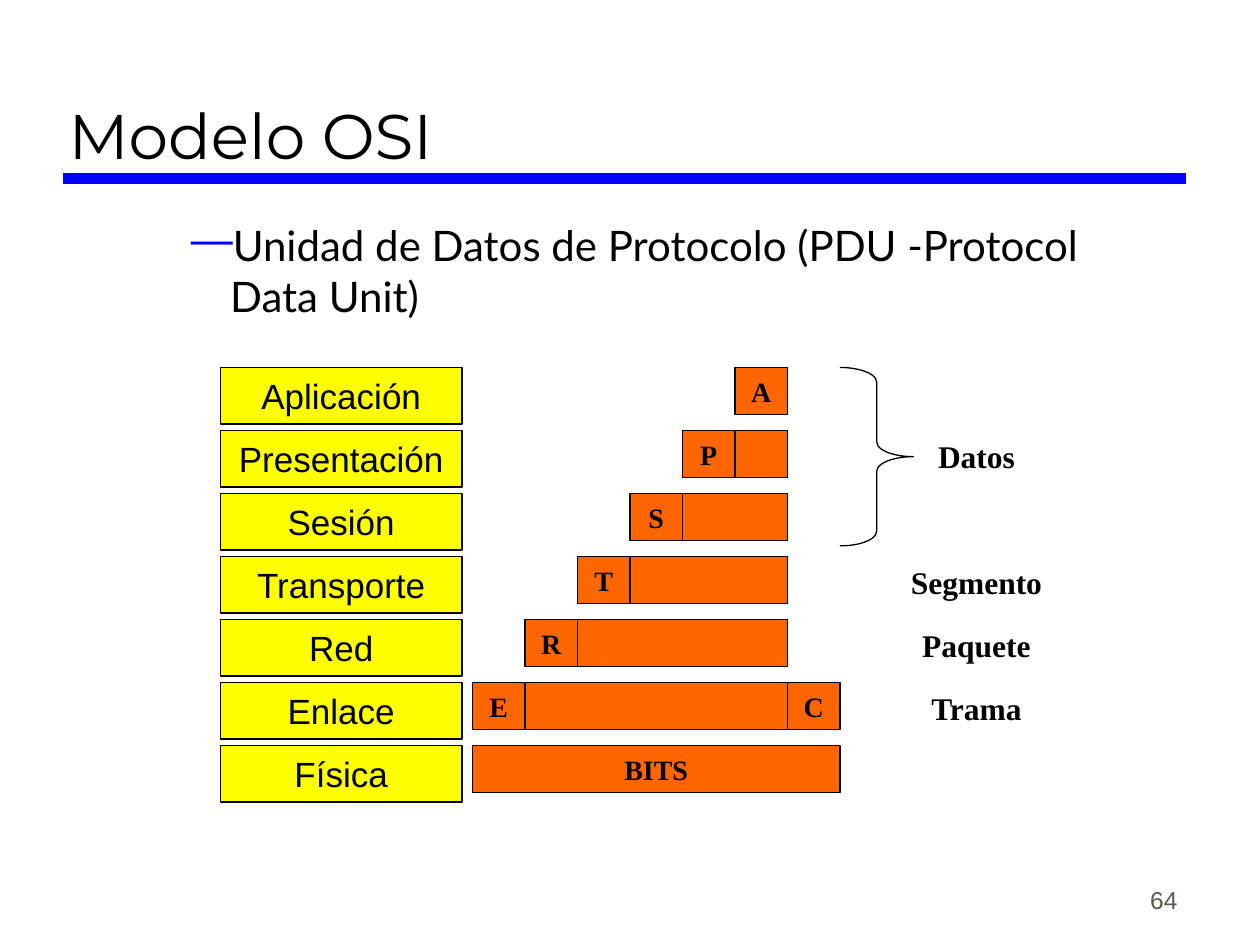
from dataclasses import dataclass

from lxml import etree
from pptx import Presentation
from pptx.dml.color import RGBColor
from pptx.enum.shapes import MSO_CONNECTOR, MSO_SHAPE
from pptx.enum.text import MSO_ANCHOR, MSO_AUTO_SIZE, PP_ALIGN
from pptx.oxml.ns import qn
from pptx.util import Pt

RECT, BRACE = MSO_SHAPE.RECTANGLE, MSO_SHAPE.RIGHT_BRACE
STRAIGHT = MSO_CONNECTOR.STRAIGHT
TOP, MIDDLE, BOTTOM = MSO_ANCHOR.TOP, MSO_ANCHOR.MIDDLE, MSO_ANCHOR.BOTTOM
LEFT, CENTER, RIGHT = PP_ALIGN.LEFT, PP_ALIGN.CENTER, PP_ALIGN.RIGHT

BLACK = RGBColor(0x00, 0x00, 0x00)
BLUE = RGBColor(0x00, 0x00, 0xFF)
YELLOW = RGBColor(0xFF, 0xFF, 0x00)
ORANGE = RGBColor(0xFF, 0x66, 0x00)
GRAY = RGBColor(0x5E, 0x57, 0x4E)

ROW_TOP, PITCH = 210, 36
UNIT_H = 27
STEP = 30        # width of one header
DATA_END = 450   # right edge shared by the data units
UNIT_LEFT = 270  # left edge of the widest unit


@dataclass
class Font:
    name: str
    size: float
    color: RGBColor = BLACK
    bold: bool = False


@dataclass
class Box:
    left: float
    top: float
    width: float
    height: float

    def lengths(self) -> list:
        return [Pt(v) for v in (self.left, self.top, self.width, self.height)]


@dataclass
class Layer:
    name: str
    head: str = ""
    unit: str = ""


TITLE = Font("Montserrat", 36)
BODY = Font("Lato", 24)
NAME = Font("Arial", 20)
HEAD = Font("Times New Roman", 16, bold=True)
UNIT = Font("Times New Roman", 18, bold=True)
NUMBER = Font("Arial", 14, GRAY)

LAYERS = [
    Layer("Aplicación", "A"),
    Layer("Presentación", "P", "Datos"),
    Layer("Sesión", "S"),
    Layer("Transporte", "T", "Segmento"),
    Layer("Red", "R", "Paquete"),
    Layer("Enlace", "E", "Trama"),
    Layer("Física"),
]


def write(shape, text: str, font: Font, align=CENTER, anchor=MIDDLE) -> None:
    frame = shape.text_frame
    frame.text = text
    frame.word_wrap = True
    frame.auto_size = MSO_AUTO_SIZE.NONE
    frame.vertical_anchor = anchor
    para = frame.paragraphs[0]
    para.alignment = align
    for run in para.runs:
        run.font.name = font.name
        run.font.size = Pt(font.size)
        run.font.bold = font.bold
        run.font.color.rgb = font.color


def add_text(slide, box: Box, text: str, font: Font, align=CENTER, anchor=TOP):
    shape = slide.shapes.add_textbox(*box.lengths())
    write(shape, text, font, align, anchor)
    return shape


def add_rect(slide, box: Box, fill: RGBColor, line: float, text: str, font: Font) -> None:
    shape = slide.shapes.add_shape(RECT, *box.lengths())
    shape.shadow.inherit = False
    shape.fill.solid()
    shape.fill.fore_color.rgb = fill
    shape.line.color.rgb = BLACK
    shape.line.width = Pt(line)
    if text:
        write(shape, text, font)


def add_unit(slide, left: float, top: float, width: float, text: str = "") -> None:
    add_rect(slide, Box(left, top, width, UNIT_H), ORANGE, 0.75, text, HEAD)


def add_dash(para) -> None:
    """Give the paragraph a blue dash bullet with a hanging indent."""
    props = para._p.get_or_add_pPr()
    props.set("marL", str(Pt(58.5)))
    props.set("indent", str(Pt(-22.5)))
    color = etree.SubElement(props, qn("a:buClr"))
    etree.SubElement(color, qn("a:srgbClr"), val=str(BLUE))
    etree.SubElement(props, qn("a:buChar"), char="—")


def add_rule(slide) -> None:
    rule = slide.shapes.add_connector(STRAIGHT, Pt(36), Pt(102), Pt(678), Pt(102))
    rule.line.color.rgb = BLUE
    rule.line.width = Pt(6)
    etree.SubElement(rule._element.spPr, qn("a:effectLst"))


def add_brace(slide) -> None:
    brace = slide.shapes.add_shape(BRACE, *Box(480, ROW_TOP, 42, 102).lengths())
    brace.shadow.inherit = False
    brace.adjustments[0] = 0.2
    brace.adjustments[1] = 0.5
    brace.fill.background()
    brace.line.color.rgb = BLACK
    brace.line.width = Pt(0.75)


def add_layer(slide, index: int, layer: Layer) -> None:
    top = ROW_TOP + index * PITCH
    add_rect(slide, Box(126, top, 138, 32.5), YELLOW, 1, layer.name, NAME)
    if layer.head:
        data = index * STEP
        start = DATA_END - data
        if data:
            add_unit(slide, start, top, data)
        add_unit(slide, start - STEP, top, STEP, layer.head)
    if layer.unit:
        add_text(slide, Box(480, top, 156, 29), layer.unit, UNIT)


def main() -> None:
    deck = Presentation()
    deck.slide_width, deck.slide_height = Pt(720), Pt(540)
    slide = deck.slides.add_slide(deck.slide_layouts[5])

    add_rule(slide)
    title = slide.shapes.title
    title.left, title.top, title.width, title.height = Box(32, 12, 646, 90).lengths()
    write(title, "Modelo OSI", TITLE, LEFT, BOTTOM)
    body = add_text(slide, Box(66, 122, 612, 66),
                    "Unidad de Datos de Protocolo (PDU -Protocol Data Unit)", BODY, LEFT)
    add_dash(body.text_frame.paragraphs[0])

    for index, layer in enumerate(LAYERS):
        add_layer(slide, index, layer)
    last = ROW_TOP + (len(LAYERS) - 1) * PITCH
    add_unit(slide, DATA_END, last - PITCH, STEP, "C")
    add_unit(slide, UNIT_LEFT, last, DATA_END + STEP - UNIT_LEFT, "BITS")
    add_brace(slide)
    add_text(slide, Box(530, 490, 150, 36), "64", NUMBER, RIGHT, BOTTOM)
    deck.save("out.pptx")


if __name__ == "__main__":
    main()
